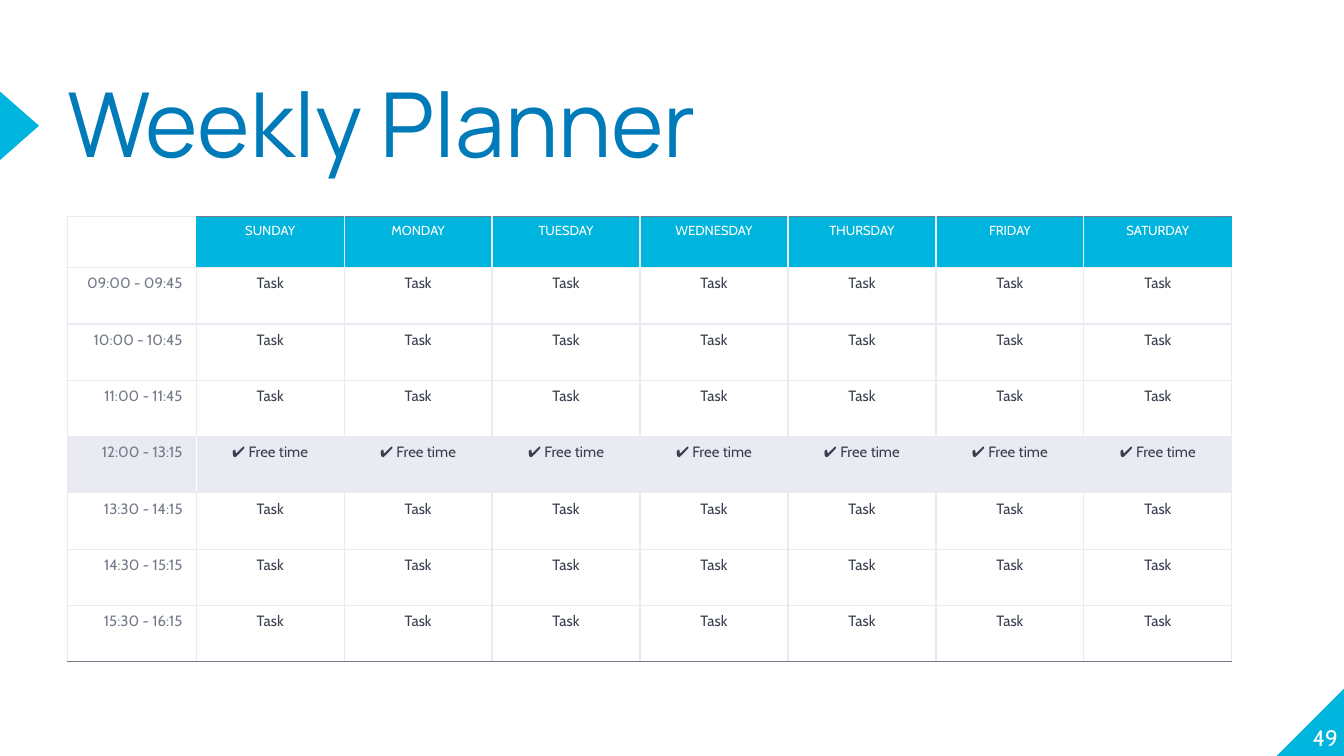
"""Build a weekly planner slide with a table of days and time slots."""
from dataclasses import dataclass

from lxml import etree
from pptx import Presentation
from pptx.dml.color import RGBColor
from pptx.enum.shapes import MSO_SHAPE
from pptx.enum.text import MSO_ANCHOR, MSO_AUTO_SIZE, PP_ALIGN
from pptx.oxml.ns import qn
from pptx.util import Inches, Pt

ARROW, CORNER = MSO_SHAPE.ISOSCELES_TRIANGLE, MSO_SHAPE.RIGHT_TRIANGLE
TOP, BOTTOM = MSO_ANCHOR.TOP, MSO_ANCHOR.BOTTOM
LEFT, CENTER, RIGHT = PP_ALIGN.LEFT, PP_ALIGN.CENTER, PP_ALIGN.RIGHT
NO_FIT = MSO_AUTO_SIZE.NONE

SLIDE_WIDTH = Inches(10)
SLIDE_HEIGHT = SLIDE_WIDTH * 9 // 16
TITLE_ONLY = 5
TIME_COLUMN, DAY_COLUMN = 9.6, 11.01
HEADER_ROW, SLOT_ROW = 5.87, 7.45

DAYS = ["SUNDAY", "MONDAY", "TUESDAY", "WEDNESDAY", "THURSDAY", "FRIDAY", "SATURDAY"]
SLOTS = {
    "09:00 - 09:45": "Task",
    "10:00 - 10:45": "Task",
    "11:00 - 11:45": "Task",
    "12:00 - 13:15": "✔ Free time",
    "13:30 - 14:15": "Task",
    "14:30 - 15:15": "Task",
    "15:30 - 16:15": "Task",
}
BREAK_ROW = list(SLOTS).index("12:00 - 13:15") + 1


@dataclass(frozen=True)
class Theme:
    """Colours, fonts and sizes of the planner."""
    accent: str = "00B5DD"
    heading: str = "007BB9"
    grid: str = "E9EAF2"
    slate: str = "757B89"
    ink: str = "3A3F50"
    white: str = "FFFFFF"
    title_font: str = "Manrope"
    body_font: str = "Cabin"
    title_size: int = 48
    page_size: int = 12
    day_size: int = 7
    slot_size: int = 8
    border: float = 0.75


THEME = Theme()


def across(share):
    """Turn a percentage of the slide width into a length."""
    return int(SLIDE_WIDTH * share / 100)


def down(share):
    """Turn a percentage of the slide height into a length."""
    return int(SLIDE_HEIGHT * share / 100)


def area(left, top, width, height):
    """Turn percentages of the slide into a position and size."""
    return across(left), down(top), across(width), down(height)


def apply(target, values):
    """Set every attribute named in values on target."""
    for name, value in values.items():
        setattr(target, name, value)


def margins(horizontal, vertical):
    """Give format values for equal side and equal upper and lower margins."""
    return {"margin_left": horizontal, "margin_right": horizontal,
            "margin_top": vertical, "margin_bottom": vertical}


def write(frame, text, size, color, align, font=THEME.body_font):
    """Write one formatted paragraph into a text frame."""
    paragraph = frame.paragraphs[0]
    paragraph.alignment = align
    run = paragraph.add_run()
    run.text = text
    apply(run.font, {"name": font, "size": Pt(size), "bold": False})
    run.font.color.rgb = RGBColor.from_string(color)
    return paragraph


def add_triangle(slide, preset, place, rotation=0, mirrored=False):
    """Add a plain accent triangle."""
    triangle = slide.shapes.add_shape(preset, *place)
    triangle.shadow.inherit = False
    triangle.rotation = rotation
    triangle.fill.solid()
    triangle.fill.fore_color.rgb = RGBColor.from_string(THEME.accent)
    triangle.line.fill.background()
    if mirrored:
        triangle._element.spPr.find(qn("a:xfrm")).set("flipH", "1")


def add_title(slide, text):
    """Move and format the title placeholder."""
    title = slide.shapes.title
    sides = ("left", "top", "width", "height")
    apply(title, dict(zip(sides, area(5, 11.74, 61.7, 21))))
    frame = title.text_frame
    apply(frame, {"word_wrap": True, "auto_size": NO_FIT,
                  "vertical_anchor": TOP, **margins(0, 0)})
    heading = write(frame, text, THEME.title_size, THEME.heading, LEFT, THEME.title_font)
    apply(heading, {"line_spacing": 0.8, "space_before": Pt(0)})


def add_page_number(slide, number):
    """Add the page number over the corner triangle."""
    frame = slide.shapes.add_textbox(*area(94.55, 90.21, 5, 9.07)).text_frame
    apply(frame, {"word_wrap": True, "vertical_anchor": BOTTOM, **margins(0, 0)})
    write(frame, number, THEME.page_size, THEME.white, RIGHT)


def edge_colors(row, column):
    """Choose the border colours of a cell by its place in the planner."""
    edges = dict.fromkeys(("L", "R", "T", "B"), THEME.grid)
    seam = {0: THEME.accent, BREAK_ROW: THEME.white}.get(row, THEME.grid)
    if column == 0:
        edges["R"] = seam
    if column == 1:
        edges["L"] = seam
    if row == 0 and column > 0:
        edges["T"] = THEME.slate
    if row == 0 and column == len(DAYS):
        edges["R"] = THEME.accent
    if row == len(SLOTS):
        edges["B"] = THEME.slate
    return edges


def draw_borders(cell, edges):
    """Put border lines ahead of the fill in the cell properties."""
    properties = cell._tc.get_or_add_tcPr()
    for position, (side, color) in enumerate(edges.items()):
        line = etree.Element(qn(f"a:ln{side}"), w=str(Pt(THEME.border)))
        solid = etree.SubElement(line, qn("a:solidFill"))
        etree.SubElement(solid, qn("a:srgbClr"), val=color)
        properties.insert(position, line)


def fill_cell(cell, row, column, text):
    """Fill, write and outline one planner cell."""
    background = {0: THEME.accent if column else None, BREAK_ROW: THEME.grid}.get(row)
    if background:
        cell.fill.solid()
        cell.fill.fore_color.rgb = RGBColor.from_string(background)
    else:
        cell.fill.background()
    if text:
        size = THEME.slot_size if row else THEME.day_size
        color = THEME.white if row == 0 else THEME.ink if column else THEME.slate
        write(cell.text_frame, text, size, color, CENTER if column else RIGHT)
    else:
        apply(cell, margins(Inches(0.1), Inches(0.04)))
    draw_borders(cell, edge_colors(row, column))


def add_planner(slide):
    """Add the table of days and time slots."""
    contents = [["", *DAYS]]
    contents += [[time, *[activity] * len(DAYS)] for time, activity in SLOTS.items()]
    widths = [TIME_COLUMN] + [DAY_COLUMN] * len(DAYS)
    heights = [HEADER_ROW] + [SLOT_ROW] * len(SLOTS)
    place = area(5, 28.65, sum(widths), sum(heights))
    planner = slide.shapes.add_table(len(heights), len(widths), *place).table
    apply(planner, {"first_row": False, "horz_banding": False})
    for column, share in zip(planner.columns, widths):
        column.width = across(share)
    for row, share in zip(planner.rows, heights):
        row.height = down(share)
    for row, texts in enumerate(contents):
        for column, text in enumerate(texts):
            fill_cell(planner.cell(row, column), row, column, text)


def main():
    """Build and save the planner slide."""
    deck = Presentation()
    apply(deck, {"slide_width": SLIDE_WIDTH, "slide_height": SLIDE_HEIGHT})
    slide = deck.slides.add_slide(deck.slide_layouts[TITLE_ONLY])
    add_triangle(slide, CORNER, area(95, 90.93, 5.1, 9.07), mirrored=True)
    add_triangle(slide, ARROW, area(-1.1, 14.06, 5.1, 5.16), rotation=90)
    add_title(slide, "Weekly Planner")
    add_page_number(slide, "49")
    add_planner(slide)
    deck.save("out.pptx")


if __name__ == "__main__":
    main()
